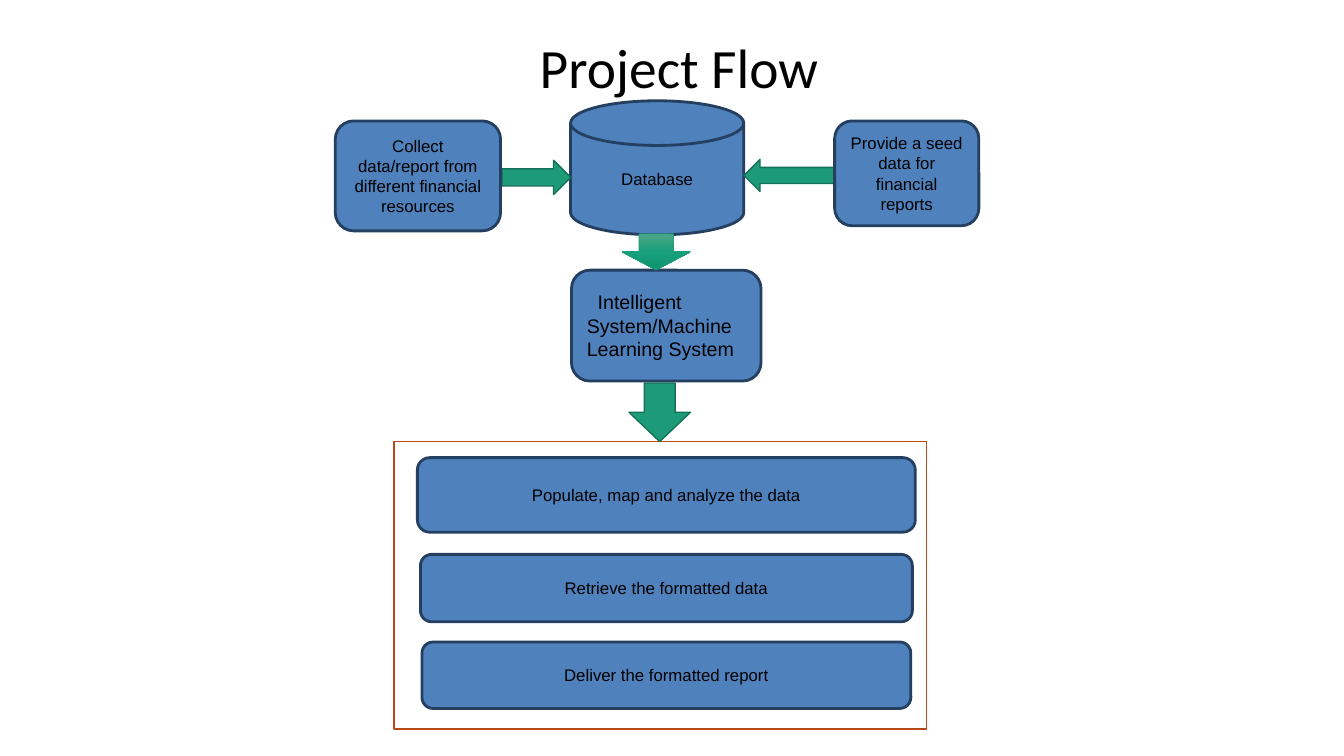
from copy import deepcopy

from pptx import Presentation
from pptx.dml.color import RGBColor
from pptx.enum.shapes import MSO_SHAPE
from pptx.enum.text import MSO_ANCHOR, PP_ALIGN
from pptx.oxml.ns import qn
from pptx.util import Pt


def color(hex_string):
    return RGBColor.from_string(hex_string)


def write(frame, text, size=12, font="Arial", ink="000000",
          align=PP_ALIGN.CENTER, spacing=1.0, indent=0):
    frame.word_wrap = True
    frame.vertical_anchor = MSO_ANCHOR.MIDDLE
    paragraph = frame.paragraphs[0]
    paragraph.alignment = align
    paragraph.line_spacing = spacing
    if indent:
        properties = paragraph._p.get_or_add_pPr()
        properties.set("marL", "0")
        properties.set("indent", str(Pt(indent)))
    run = paragraph.add_run()
    run.text = text
    run.font.size = Pt(size)
    run.font.name = font
    run.font.color.rgb = color(ink)


class FlowSlide:
    box_fill, box_line = "4F81BD", "243F60"
    arrow_fill, arrow_line = "1D9A78", "157259"

    def __init__(self, slide):
        self.slide = slide

    def title(self, text, *bounds):
        heading = self.slide.shapes.add_textbox(*map(Pt, bounds))
        write(heading.text_frame, text, size=39.6, font="Calibri", spacing=0.9)

    def outline(self, kind, bounds, fill, line, weight):
        shape = self.slide.shapes.add_shape(kind, *map(Pt, bounds))
        shape.shadow.inherit = False
        shape.fill.solid()
        shape.fill.fore_color.rgb = color(fill)
        shape.line.color.rgb = color(line)
        shape.line.width = Pt(weight)
        return shape

    def frame(self, *bounds):
        self.outline(MSO_SHAPE.RECTANGLE, bounds, "FFFFFF", "B74919", 1)

    def box(self, text, *bounds, kind=MSO_SHAPE.ROUNDED_RECTANGLE, **text_format):
        step = self.outline(kind, bounds, self.box_fill, self.box_line, 2)
        write(step.text_frame, text, **text_format)

    def arrow(self, kind, *bounds):
        return self.outline(kind, bounds, self.arrow_fill, self.arrow_line, 1)

    def shaded_arrow(self, kind, *bounds, shades):
        arrow = self.arrow(kind, *bounds)
        arrow.line.color.rgb = color(self.arrow_fill)
        arrow.line.width = Pt(0.5)
        arrow.fill.gradient()
        arrow.fill.gradient_angle = 270
        stop_list = arrow._element.spPr.find(".//" + qn("a:gsLst"))
        while len(stop_list) < len(shades):
            stop_list.append(deepcopy(stop_list[0]))
        for index, (stop, shade) in enumerate(zip(arrow.fill.gradient_stops, shades)):
            stop.color.rgb = color(shade)
            stop.position = index / (len(shades) - 1)


def main():
    presentation = Presentation()
    presentation.slide_width = Pt(960)
    presentation.slide_height = Pt(540)
    flow = FlowSlide(presentation.slides.add_slide(presentation.slide_layouts[6]))

    flow.title("Project Flow", 285, 28.8, 400, 43.2)
    flow.frame(281.5, 315.4, 380.2, 205.2)

    center = 476
    for stage, top, width, height in (
        ("Populate, map and analyze the data", 326.9, 355.7, 53.3),
        ("Retrieve the formatted data", 396, 351.4, 48.2),
        ("Deliver the formatted report", 458.6, 349.2, 47.5),
    ):
        flow.box(stage, center - width / 2, top, width, height)

    flow.box("Database", 407.5, 72, 123.8, 95.8,
             kind=MSO_SHAPE.FLOWCHART_MAGNETIC_DISK)
    flow.box("Intelligent System/Machine Learning System", 408.2, 193, 135.4, 79.2,
             size=14, align=PP_ALIGN.LEFT, indent=7.8)

    flow.shaded_arrow(MSO_SHAPE.DOWN_ARROW, 444.2, 167, 49, 25.9,
                      shades=("4EA788", "17A07B", "0F9470"))
    flow.arrow(MSO_SHAPE.RIGHT_ARROW, 358.6, 114.5, 49, 24.5)
    flow.arrow(MSO_SHAPE.LEFT_ARROW, 531.4, 113.8, 67.7, 23)
    flow.arrow(MSO_SHAPE.DOWN_ARROW, 449.3, 273.6, 43.9, 41.8)

    flow.box("Collect data/report from different financial resources",
             239.5, 86.4, 118.1, 78.5)
    flow.box("Provide a seed data for financial reports",
             596.2, 86.4, 103, 74.9)

    presentation.save("out.pptx")


if __name__ == "__main__":
    main()
